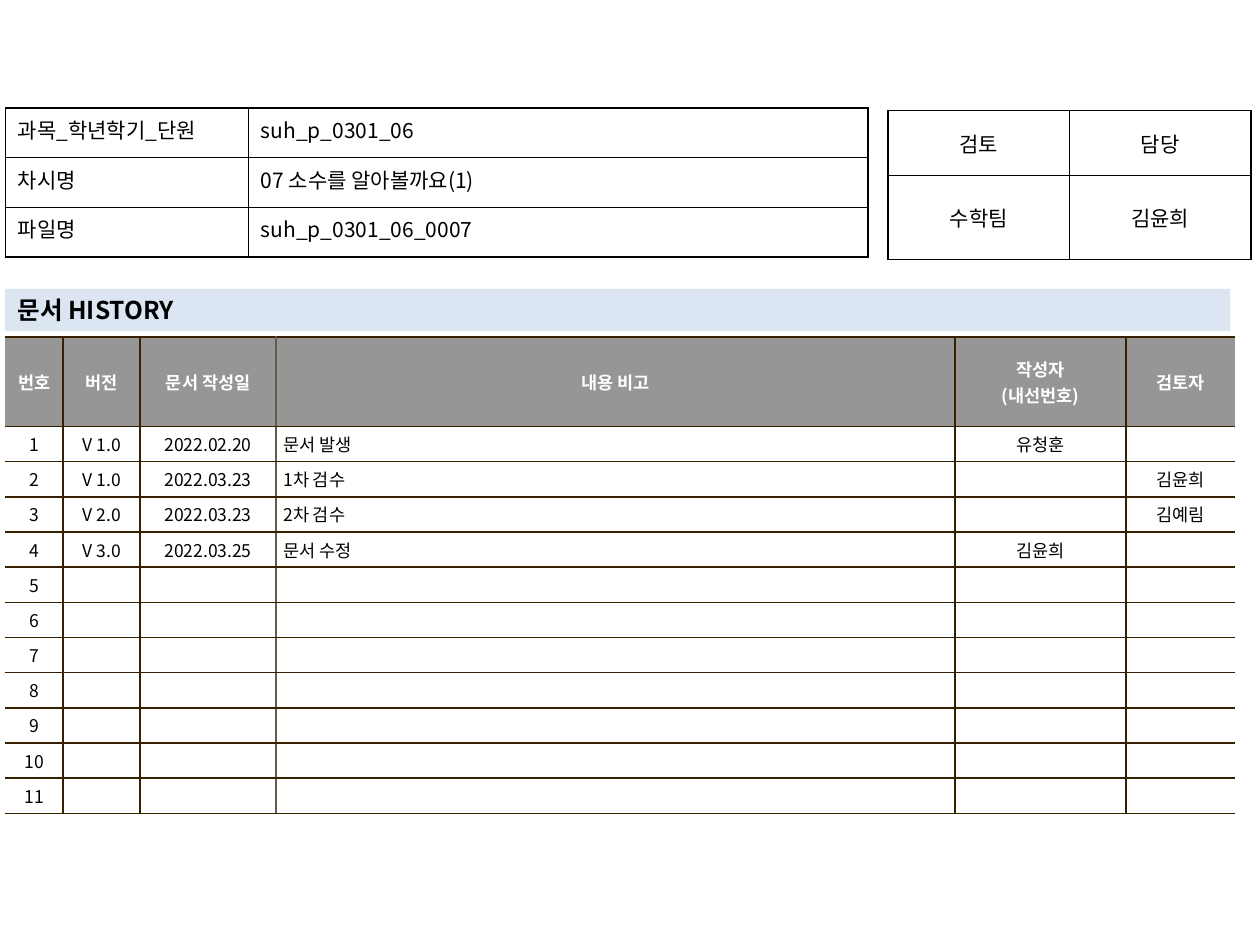
from dataclasses import dataclass

from lxml import etree
from pptx import Presentation
from pptx.dml.color import RGBColor
from pptx.enum import shapes, text
from pptx.oxml import ns
from pptx.util import Pt


@dataclass(frozen=True)
class Theme:
    """Colours, font and type sizes of the slide."""
    font: str = "Noto Sans CJK KR"
    black: str = "000000"
    white: str = "FFFFFF"
    header: str = "969696"
    band: str = "DCE6F2"
    brown: str = "362000"
    taupe: str = "645B4C"
    title_size: float = 14
    form_size: float = 12
    log_size: float = 10


THEME = Theme()
LEFT, CENTER, JUSTIFY = (text.PP_ALIGN.LEFT, text.PP_ALIGN.CENTER, text.PP_ALIGN.JUSTIFY)
TOP, MIDDLE = text.MSO_ANCHOR.TOP, text.MSO_ANCHOR.MIDDLE
HISTORY_HEADER = ["번호", "버전", "문서 작성일", "내용 비고", "작성자\n(내선번호)", "검토자"]
HISTORY = [
    ["V 1.0", "2022.02.20", "문서 발생", "유청훈", ""],
    ["V 1.0", "2022.03.23", "1차 검수", "", "김윤희"],
    ["V 2.0", "2022.03.23", "2차 검수", "", "김예림"],
    ["V 3.0", "2022.03.25", "문서 수정", "김윤희", ""],
] + [[""] * 5] * 7


def write(frame, words, size, color=THEME.black, bold=False, align=LEFT):
    """Fill a text frame with uniformly styled lines."""
    frame.text = words
    for para in frame.paragraphs:
        para.alignment = align
        font = para.font
        font.size, font.bold, font.name = Pt(size), bold, THEME.font
        font.color.rgb = RGBColor.from_string(color)
        east = etree.SubElement(para._p.pPr.find(ns.qn("a:defRPr")), ns.qn("a:ea"))
        east.set("typeface", THEME.font)
        if not words:
            end = etree.SubElement(para._p, ns.qn("a:endParaRPr"))
            end.set("sz", str(int(size * 100)))


def set_borders(cell, colors):
    """Draw the left, right, top and bottom borders; None hides one."""
    props = cell._tc.get_or_add_tcPr()
    for index, (side, color) in enumerate(zip("LRTB", colors)):
        line = etree.Element(ns.qn(f"a:ln{side}"), w=str(Pt(1)))
        if color:
            fill = etree.SubElement(line, ns.qn("a:solidFill"))
            etree.SubElement(fill, ns.qn("a:srgbClr"), val=color)
        else:
            etree.SubElement(line, ns.qn("a:noFill"))
        props.insert(index, line)


def add_grid(page, left, top, widths, heights):
    """Add an unstyled table with the given column widths and row heights."""
    table = page.shapes.add_table(len(heights), len(widths), Pt(left), Pt(top),
                                  Pt(sum(widths)), Pt(sum(heights))).table
    table.first_row = table.horz_banding = False
    for column, width in zip(table.columns, widths):
        column.width = Pt(width)
    for row, height in zip(table.rows, heights):
        row.height = Pt(height)
    return table


def add_form(page, left, top, widths, heights, rows, aligns, anchor):
    """Place a black-ruled form table."""
    table = add_grid(page, left, top, widths, heights)
    for r, values in enumerate(rows):
        for c, value in enumerate(values):
            cell = table.cell(r, c)
            cell.fill.background()
            cell.vertical_anchor = anchor
            write(cell.text_frame, value, THEME.form_size, align=aligns[c])
            set_borders(cell, [THEME.black] * 4)


def add_heading(page, left, top, width, height):
    """Place the tinted section heading."""
    band = page.shapes.add_shape(shapes.MSO_SHAPE.RECTANGLE,
                                 Pt(left), Pt(top), Pt(width), Pt(height))
    band.shadow.inherit = False
    band.fill.solid()
    band.fill.fore_color.rgb = RGBColor.from_string(THEME.band)
    band.line.fill.background()
    band.text_frame.word_wrap = True
    write(band.text_frame, "문서 HISTORY", THEME.title_size, bold=True)


def add_history(page, left, top, widths, header_height, row_height):
    """Place the numbered revision log, open at its left and right edges."""
    rows = [HISTORY_HEADER] + [[str(n), *entry] for n, entry in enumerate(HISTORY, 1)]
    heights = [header_height] + [row_height] * len(HISTORY)
    table = add_grid(page, left, top, widths, heights)
    brown = THEME.brown
    rules = [None, brown, brown, THEME.taupe, brown, brown, None]
    for r, values in enumerate(rows):
        head = r == 0
        for c, value in enumerate(values):
            cell = table.cell(r, c)
            cell.fill.solid()
            cell.fill.fore_color.rgb = RGBColor.from_string(THEME.header if head else THEME.white)
            cell.vertical_anchor = MIDDLE
            cell.margin_left = cell.margin_right = Pt(4.3)
            cell.margin_top = cell.margin_bottom = Pt(2.8)
            write(cell.text_frame, value, THEME.log_size,
                  THEME.white if head else THEME.black, head,
                  LEFT if c == 3 and not head else CENTER)
            set_borders(cell, [rules[c], rules[c + 1], brown, brown])


def main():
    """Build and save the document history slide."""
    deck = Presentation()
    deck.slide_width, deck.slide_height = Pt(720), Pt(540)
    page = deck.slides.add_slide(deck.slide_layouts[6])
    add_history(page, 3, 192.7, [33, 44.1, 77.6, 388, 97.8, 62.5], 51, 20.1)
    add_form(page, 507.5, 63.2, [103.7] * 2, [37, 48],
             [["검토", "담당"], ["수학팀", "김윤희"]], [CENTER] * 2, MIDDLE)
    add_heading(page, 3, 165, 700, 24.3)
    add_form(page, 3, 61.7, [138.9, 354.2], [28.4] * 3,
             [["과목_학년학기_단원", "suh_p_0301_06"],
              ["차시명", "07 소수를 알아볼까요(1)"],
              ["파일명", "suh_p_0301_06_0007"]], [JUSTIFY, LEFT], TOP)
    deck.save("out.pptx")


if __name__ == "__main__":
    main()
